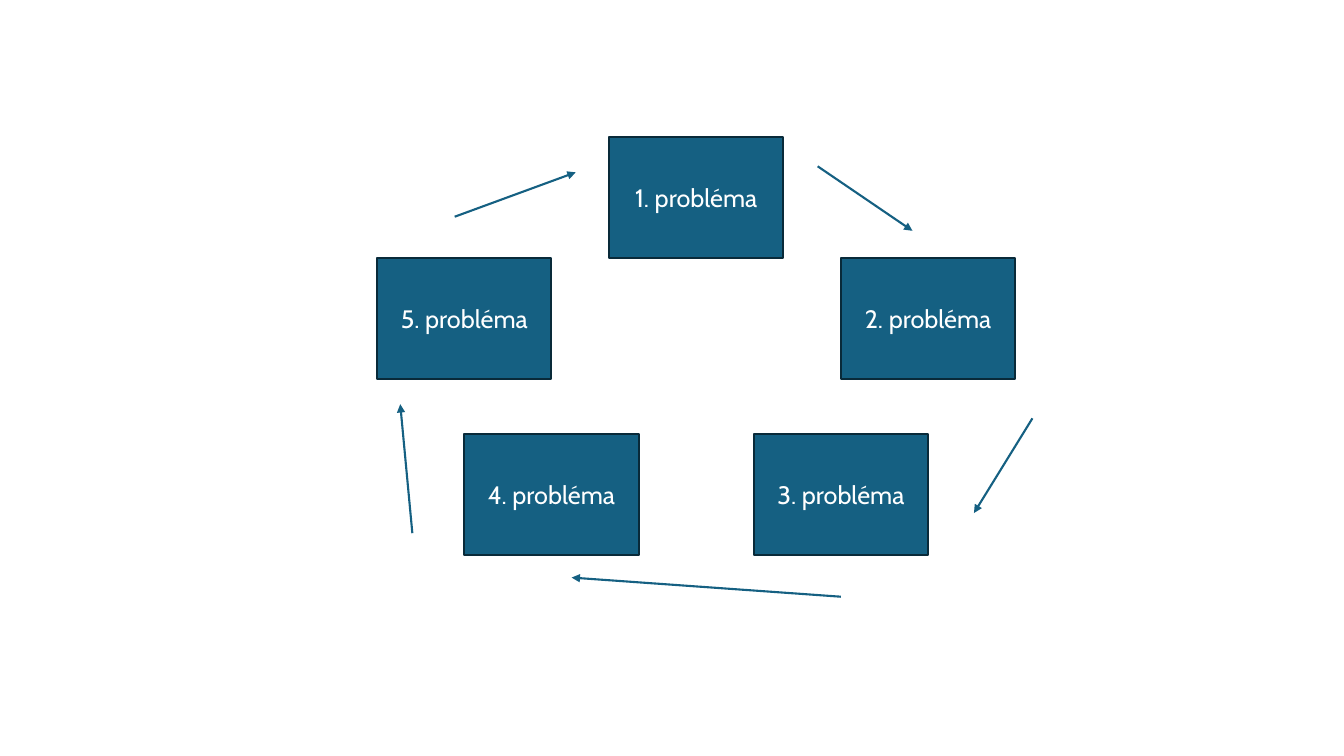
from dataclasses import dataclass

from lxml import etree
from pptx import Presentation
from pptx.dml.color import RGBColor
from pptx.enum.shapes import MSO_CONNECTOR, MSO_SHAPE
from pptx.enum.text import MSO_ANCHOR, PP_ALIGN
from pptx.oxml.ns import qn
from pptx.util import Inches, Pt

RECTANGLE = MSO_SHAPE.RECTANGLE
STRAIGHT = MSO_CONNECTOR.STRAIGHT
MIDDLE = MSO_ANCHOR.MIDDLE
CENTER = PP_ALIGN.CENTER
BLANK_LAYOUT = 6


@dataclass(frozen=True)
class Theme:
    teal: RGBColor = RGBColor.from_string("156082")
    outline: RGBColor = RGBColor.from_string("092A39")
    white: RGBColor = RGBColor.from_string("FFFFFF")
    font: str = "Cabin"
    text_size: Pt = Pt(18)
    line_width: Pt = Pt(1.5)


THEME = Theme()
BOX_WIDTH, BOX_HEIGHT = 1.73, 1.2
CENTER_X = 6.905
TOP_ROW, MIDDLE_ROW, BOTTOM_ROW = 1.36, 2.56, 4.31
MIDDLE_OFFSET, BOTTOM_OFFSET = 2.3, 1.435

PROBLEM_BOXES = [
    (5, -MIDDLE_OFFSET, MIDDLE_ROW),
    (4, -BOTTOM_OFFSET, BOTTOM_ROW),
    (3, BOTTOM_OFFSET, BOTTOM_ROW),
    (2, MIDDLE_OFFSET, MIDDLE_ROW),
    (1, 0, TOP_ROW),
]
CYCLE_ARROWS = [
    (4.51, 2.15, 5.71, 1.71),
    (8.11, 1.65, 9.05, 2.29),
    (10.24, 4.15, 9.66, 5.09),
    (8.34, 5.92, 5.67, 5.73),
    (4.09, 5.29, 3.97, 4.01),
]


def apply_format(target, values):
    for name, value in values.items():
        setattr(target, name, value)


def style_line(line, color):
    line.color.rgb = color
    line.width = THEME.line_width


def add_problem_box(page, number, offset, top):
    left = CENTER_X + offset - BOX_WIDTH / 2
    box = page.shapes.add_shape(
        RECTANGLE, Inches(left), Inches(top), Inches(BOX_WIDTH), Inches(BOX_HEIGHT)
    )
    box.shadow.inherit = False
    box.fill.solid()
    box.fill.fore_color.rgb = THEME.teal
    style_line(box.line, THEME.outline)
    apply_format(box.text_frame, {"word_wrap": True, "vertical_anchor": MIDDLE})
    para = box.text_frame.paragraphs[0]
    para.alignment = CENTER
    span = para.add_run()
    span.text = f"{number}. probléma"
    apply_format(span.font, {"name": THEME.font, "size": THEME.text_size})
    span.font.color.rgb = THEME.white


def add_cycle_arrow(page, ends):
    arrow = page.shapes.add_connector(STRAIGHT, *map(Inches, ends))
    style_line(arrow.line, THEME.teal)
    properties = arrow.element.spPr
    etree.SubElement(properties.find(qn("a:ln")), qn("a:tailEnd"), type="triangle")
    etree.SubElement(properties, qn("a:effectLst"))


def main():
    deck = Presentation()
    apply_format(deck, {"slide_width": Inches(13.33), "slide_height": Inches(7.5)})
    page = deck.slides.add_slide(deck.slide_layouts[BLANK_LAYOUT])
    for number, offset, top in PROBLEM_BOXES:
        add_problem_box(page, number, offset, top)
    for ends in CYCLE_ARROWS:
        add_cycle_arrow(page, ends)
    deck.save("out.pptx")


if __name__ == "__main__":
    main()
